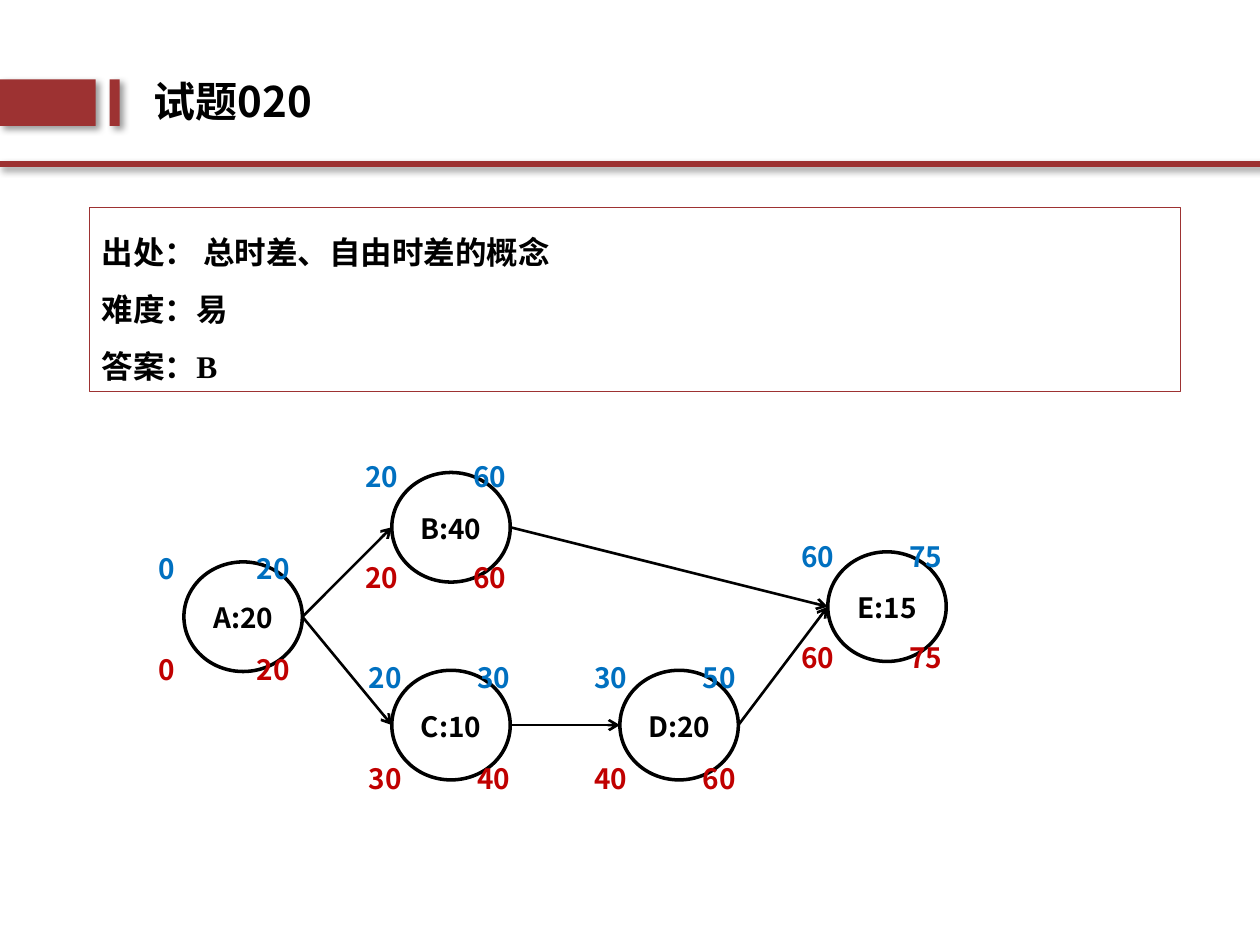
from lxml.etree import SubElement
from pptx import Presentation
from pptx.dml.color import RGBColor
from pptx.enum.shapes import MSO_CONNECTOR as Connector, MSO_SHAPE as Preset
from pptx.enum.text import MSO_ANCHOR as Anchor, PP_ALIGN as Align
from pptx.oxml.ns import qn
from pptx.util import Inches, Pt

TITLE = "试题020"
DETAILS = ["出处： 总时差、自由时差的概念", "难度：易", "答案：B"]
NODES = {
    "A": dict(days=20, at=(1.46, 4.46), early=(0, 20), late=(0, 20), offset=(-0.3, -0.14), tab=0.78),
    "C": dict(days=10, at=(3.11, 5.32), early=(20, 30), late=(30, 40), offset=(-0.28, -0.14), tab=0.86),
    "B": dict(days=40, at=(3.11, 3.75), early=(20, 60), late=(20, 60), offset=(-0.31, -0.16), tab=0.86),
    "D": dict(days=20, at=(4.92, 5.32), early=(30, 50), late=(40, 60), offset=(-0.3, -0.14), tab=0.86),
    "E": dict(days=15, at=(6.57, 4.38), early=(60, 75), late=(60, 75), offset=(-0.31, -0.16), tab=0.86),
}
LINKS = ["AB", "BE", "AC", "CD", "DE"]
BANDS = [((0, 0.63, 0.76, 0.37), 0), ((0.87, 0.63, 0.08, 0.37), 0), ((0, 1.29, 10, 0.02), 2)]
NODE_SIZE = (0.94, 0.87)
LABEL_SIZE = (1.65, 1.18)

THEME = dict(
    red="9D3232", black="000000", early="0070C0", late="C00000",
    sans="Noto Sans CJK SC", serif="Times New Roman",
    title=(24, 31.5), details=(18, 32.6), node=(16, 20),
)


def color(name):
    return RGBColor.from_string(THEME[name])


def apply(target, values):
    for name, value in values.items():
        setattr(target, name, value)


def add_paragraph(frame, text, style, ink="black", font="sans", **layout):
    first = frame.paragraphs[0]
    paragraph = frame.add_paragraph() if first.runs else first
    size, spacing = THEME[style]
    apply(paragraph, dict(line_spacing=Pt(spacing), **layout))
    run = paragraph.add_run()
    run.text = text
    apply(run.font, dict(name=THEME[font], size=Pt(size), bold=True))
    run.font.color.rgb = color(ink)
    SubElement(run.font._element, qn("a:ea"), typeface=THEME["sans"])
    return paragraph


def add_text_box(slide, box, wrap=True):
    frame = slide.shapes.add_textbox(*map(Inches, box)).text_frame
    frame.word_wrap = wrap
    return frame


def add_outline(slide, preset, box, line, width, fill=None):
    shape = slide.shapes.add_shape(preset, *map(Inches, box))
    shape.shadow.inherit = False
    if fill:
        shape.fill.solid()
        shape.fill.fore_color.rgb = color(fill)
    else:
        shape.fill.background()
    if width:
        shape.line.color.rgb = color(line)
        shape.line.width = Pt(width)
    else:
        shape.line.fill.background()
    return shape


def add_band(slide, box, width):
    shape = add_outline(slide, Preset.RECTANGLE, box, "red", width, "red")
    effects = shape._element.spPr.find(qn("a:effectLst"))
    shadow = SubElement(effects, qn("a:outerShdw"), blurRad=str(Pt(4)), dist=str(Pt(3)),
                        dir=str(45 * 60000), algn="tl", rotWithShape="0")
    ink = SubElement(shadow, qn("a:srgbClr"), val=THEME["black"])
    SubElement(ink, qn("a:alpha"), val="40000")


def add_details(slide):
    shape = add_outline(slide, Preset.RECTANGLE, (0.71, 1.65, 8.66, 1.46), "red", 0.75)
    apply(shape.text_frame, dict(word_wrap=True, vertical_anchor=Anchor.TOP))
    for text in DETAILS:
        paragraph = add_paragraph(shape.text_frame, text, "details", font="serif", alignment=Align.LEFT)
        indent = Inches(0.69)
        apply_indent = dict(marL=str(indent), indent=str(-indent))
        for name, value in apply_indent.items():
            paragraph._p.get_or_add_pPr().set(name, value)


def add_node(slide, name, node):
    shape = add_outline(slide, Preset.OVAL, node["at"] + NODE_SIZE, "black", 2)
    apply(shape.text_frame, dict(margin_left=0, margin_right=0, word_wrap=True,
                                 vertical_anchor=Anchor.MIDDLE))
    add_paragraph(shape.text_frame, f"{name}:{node['days']}", "node", alignment=Align.CENTER)


def add_link(slide, source, target):
    width, height = NODE_SIZE
    (start_x, start_y), (end_x, end_y) = NODES[source]["at"], NODES[target]["at"]
    ends = (start_x + width, start_y + height / 2, end_x, end_y + height / 2)
    connector = slide.shapes.add_connector(Connector.STRAIGHT, *map(Inches, ends))
    connector.line.color.rgb = color("black")
    connector.line.width = Pt(1.5)
    SubElement(connector.line._get_or_add_ln(), qn("a:tailEnd"), type="arrow")
    SubElement(connector._element.spPr, qn("a:effectLst"))


def add_times(slide, node):
    corner = tuple(place + shift for place, shift in zip(node["at"], node["offset"]))
    frame = add_text_box(slide, corner + LABEL_SIZE)
    for kind, gap in (("early", 0), ("late", 37.6)):
        text = "\t".join(map(str, node[kind]))
        paragraph = add_paragraph(frame, text, "node", kind, space_before=Pt(gap))
        tabs = SubElement(paragraph._p.get_or_add_pPr(), qn("a:tabLst"))
        SubElement(tabs, qn("a:tab"), pos=str(Inches(node["tab"])), algn="l")


def main():
    """Build the activity network slide."""
    presentation = Presentation()
    apply(presentation, dict(slide_width=Inches(10), slide_height=Inches(7.5)))
    slide = presentation.slides.add_slide(presentation.slide_layouts[6])
    for box, width in BANDS:
        add_band(slide, box, width)
    frame = add_text_box(slide, (1.14, 0.52, 5.28, 0.75))
    apply(frame, dict(margin_left=Inches(0.08), margin_right=Inches(0.08),
                      margin_top=Inches(0.04), margin_bottom=Inches(0.04)))
    add_paragraph(frame, TITLE, "title")
    add_details(slide)
    for name, node in NODES.items():
        add_node(slide, name, node)
    for source, target in LINKS:
        add_link(slide, source, target)
    for node in NODES.values():
        add_times(slide, node)
    presentation.save("out.pptx")


if __name__ == "__main__":
    main()
